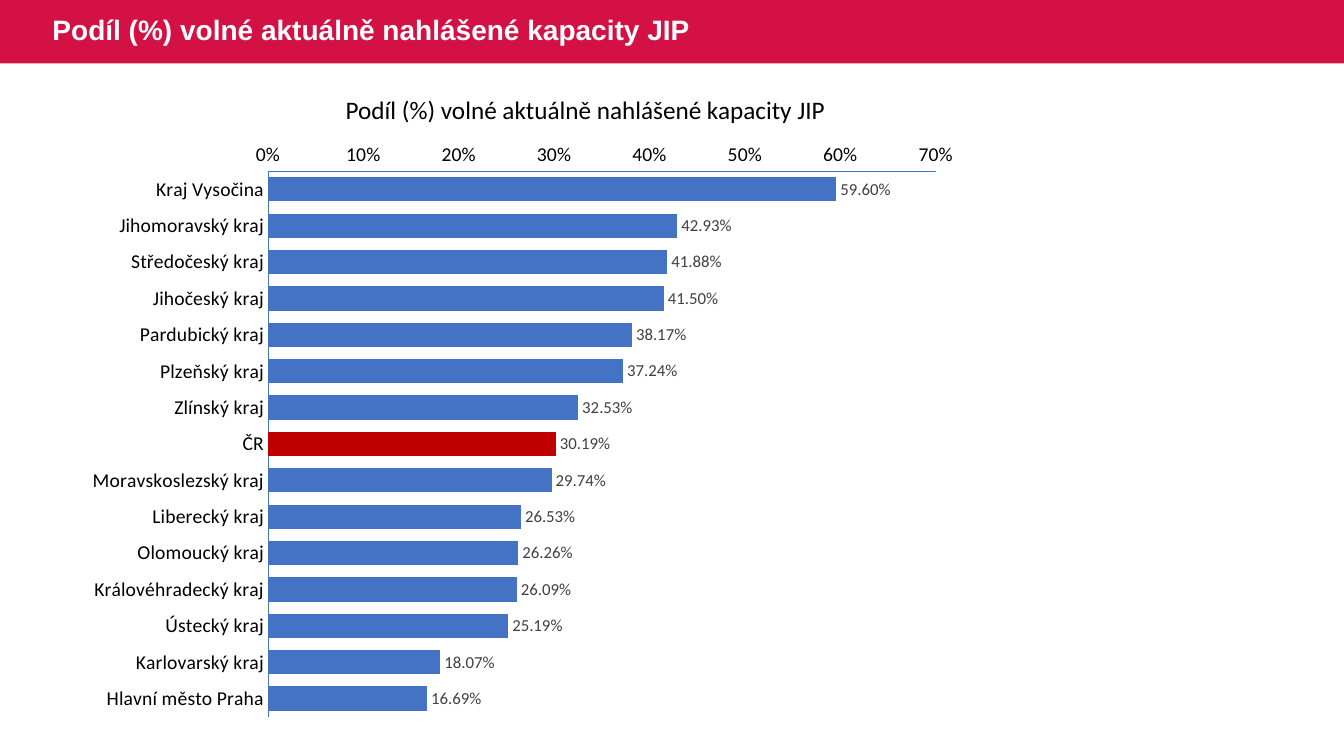
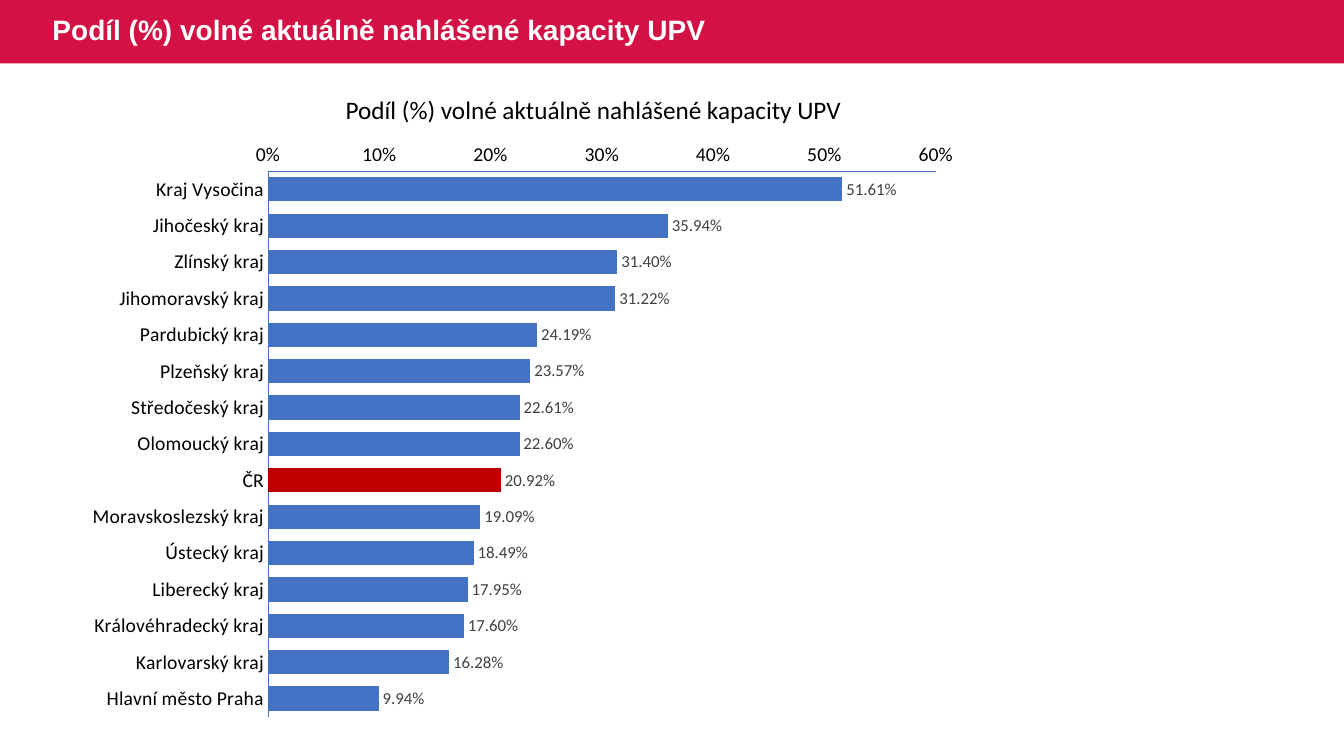
import dataclasses

import pptx
import pptx.chart.data
import pptx.dml.color
import pptx.enum.chart
import pptx.enum.shapes
import pptx.enum.text
import pptx.util

Inches = pptx.util.Inches
Pt = pptx.util.Pt


def tint(code):
    return pptx.dml.color.RGBColor.from_string(code)


@dataclasses.dataclass(frozen=True)
class Theme:
    band: str = "D31145"
    bar: str = "4472C4"
    mark: str = "C00000"
    title: tuple = ("Arial", 20, "FFFFFF", True)
    head: tuple = ("Calibri", 18, "000000", False)
    chart: tuple = ("Calibri", 10, "000000", False)
    axis: tuple = ("Calibri", 14, "000000", False)
    label: tuple = ("Calibri", 12, "404040", False)


THEME = Theme()
NATION = "ČR"
SLIDES = [
    ("Podíl (%) volné aktuálně nahlášené kapacity JIP", 0.7, {
        "Kraj Vysočina": 0.596, "Jihomoravský kraj": 0.4293,
        "Středočeský kraj": 0.4188, "Jihočeský kraj": 0.415,
        "Pardubický kraj": 0.3817, "Plzeňský kraj": 0.3724,
        "Zlínský kraj": 0.3253, NATION: 0.3019,
        "Moravskoslezský kraj": 0.2974, "Liberecký kraj": 0.2653,
        "Olomoucký kraj": 0.2626, "Královéhradecký kraj": 0.2609,
        "Ústecký kraj": 0.2519, "Karlovarský kraj": 0.1807,
        "Hlavní město Praha": 0.1669,
    }),
    ("Podíl (%) volné aktuálně nahlášené kapacity UPV", 0.6, {
        "Kraj Vysočina": 0.5161, "Jihočeský kraj": 0.3594,
        "Zlínský kraj": 0.314, "Jihomoravský kraj": 0.3122,
        "Pardubický kraj": 0.2419, "Plzeňský kraj": 0.2357,
        "Středočeský kraj": 0.2261, "Olomoucký kraj": 0.226,
        NATION: 0.2092, "Moravskoslezský kraj": 0.1909,
        "Ústecký kraj": 0.1849, "Liberecký kraj": 0.1795,
        "Královéhradecký kraj": 0.176, "Karlovarský kraj": 0.1628,
        "Hlavní město Praha": 0.0994,
    }),
]


def apply(target, values):
    for name, value in values.items():
        setattr(target, name, value)


def style(font, look):
    face, size, code, bold = look
    apply(font, {"name": face, "size": Pt(size), "bold": bold})
    font.color.rgb = tint(code)


def paint(fill, code):
    fill.solid()
    fill.fore_color.rgb = tint(code)


def add_band(slide, width):
    band = slide.shapes.add_shape(
        pptx.enum.shapes.MSO_SHAPE.RECTANGLE, 0, 0, width, Inches(0.63))
    band.shadow.inherit = False
    paint(band.fill, THEME.band)
    band.line.fill.background()
    slide.slide_layout.shapes.element.insert(2, band.element)


def set_title(slide, text):
    title = slide.shapes.title
    apply(title, {"left": Inches(0.42), "top": 0,
                  "width": Inches(11.56), "height": Inches(0.63)})
    frame = title.text_frame
    frame.text = text
    apply(frame, {"vertical_anchor": pptx.enum.text.MSO_ANCHOR.MIDDLE,
                  "auto_size": pptx.enum.text.MSO_AUTO_SIZE.NONE})
    line = frame.paragraphs[0]
    apply(line, {"alignment": pptx.enum.text.PP_ALIGN.LEFT,
                 "line_spacing": 0.9})
    style(line.runs[0].font, THEME.title)


def add_head(slide, text):
    box = slide.shapes.add_textbox(
        Inches(3.33), Inches(0.89), Inches(5.15), Inches(0.4))
    frame = box.text_frame
    frame.text = text
    apply(frame, {
        "word_wrap": False,
        "auto_size": pptx.enum.text.MSO_AUTO_SIZE.SHAPE_TO_FIT_TEXT})
    style(frame.paragraphs[0].runs[0].font, THEME.head)


def set_axis(axis, values):
    none = pptx.enum.chart.XL_TICK_MARK.NONE
    apply(axis, {"has_major_gridlines": False, "major_tick_mark": none,
                 "minor_tick_mark": none, **values})
    style(axis.tick_labels.font, THEME.axis)
    paint(axis.format.line.fill, THEME.bar)
    axis.format.line.width = Pt(0.75)


def add_bars(slide, rates, top):
    data = pptx.chart.data.CategoryChartData(number_format="0.00%")
    data.categories = list(rates)
    data.add_series("Series 1", list(rates.values()))
    chart = slide.shapes.add_chart(
        pptx.enum.chart.XL_CHART_TYPE.BAR_CLUSTERED, Inches(0.74),
        Inches(1.3), Inches(8.89), Inches(5.93), data).chart
    apply(chart, {"has_title": False, "has_legend": False})
    style(chart.font, THEME.chart)

    set_axis(chart.category_axis, {"reverse_order": True})
    set_axis(chart.value_axis, {
        "minimum_scale": 0, "maximum_scale": top, "major_unit": 0.1})
    apply(chart.value_axis.tick_labels, {
        "number_format": "0%", "number_format_is_linked": False})

    plot = chart.plots[0]
    apply(plot, {"gap_width": 50, "vary_by_categories": False,
                 "has_data_labels": True})
    apply(plot.data_labels, {
        "show_value": True, "number_format": "0.00%",
        "number_format_is_linked": False,
        "position": pptx.enum.chart.XL_LABEL_POSITION.OUTSIDE_END})
    style(plot.data_labels.font, THEME.label)

    bars = plot.series[0]
    bars.invert_if_negative = False
    paint(bars.format.fill, THEME.bar)
    point = bars.points[list(rates).index(NATION)]
    paint(point.format.fill, THEME.mark)


def main():
    deck = pptx.Presentation()
    apply(deck, {"slide_width": Inches(13.33), "slide_height": Inches(7.5)})
    layout = deck.slide_layouts.get_by_name("Title Only")
    for order, (text, top, rates) in enumerate(SLIDES):
        slide = deck.slides.add_slide(layout)
        if order == 0:
            add_band(slide, deck.slide_width)
        set_title(slide, text)
        add_bars(slide, rates, top)
        add_head(slide, text)
    deck.save("out.pptx")


if __name__ == "__main__":
    main()
